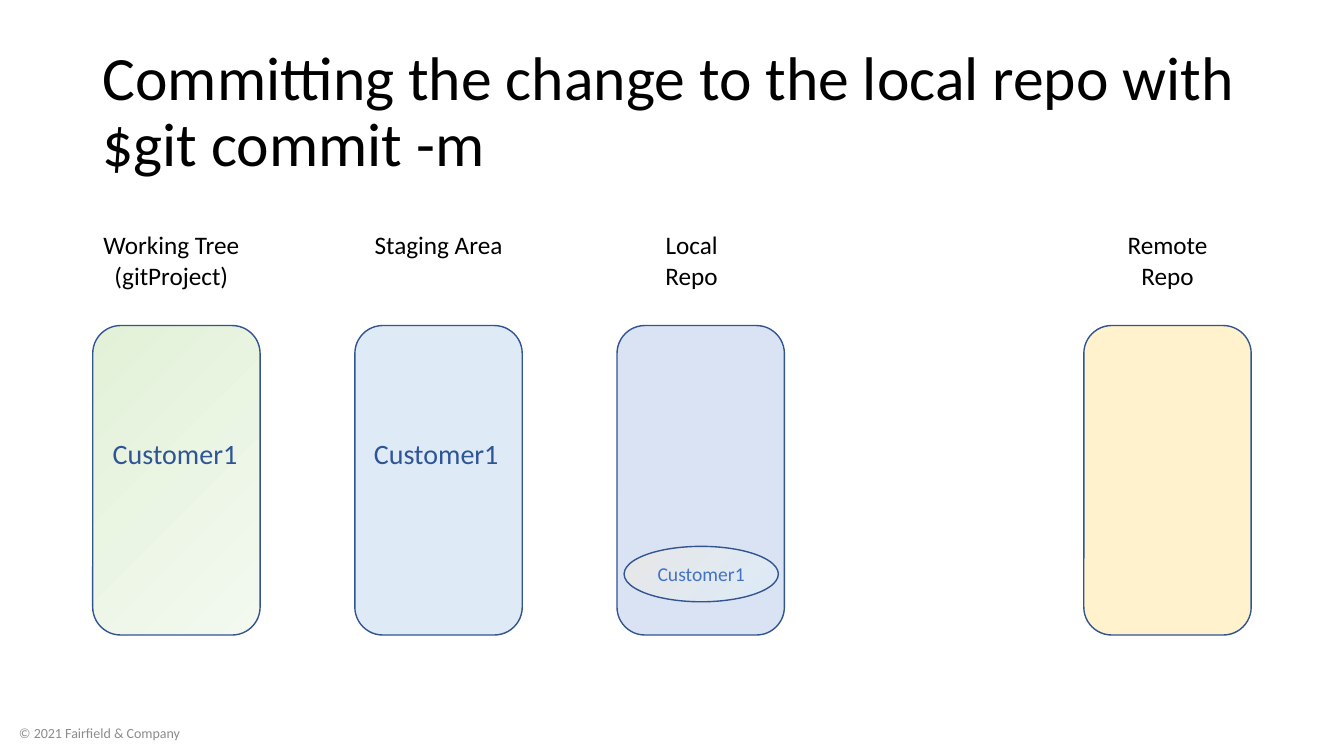
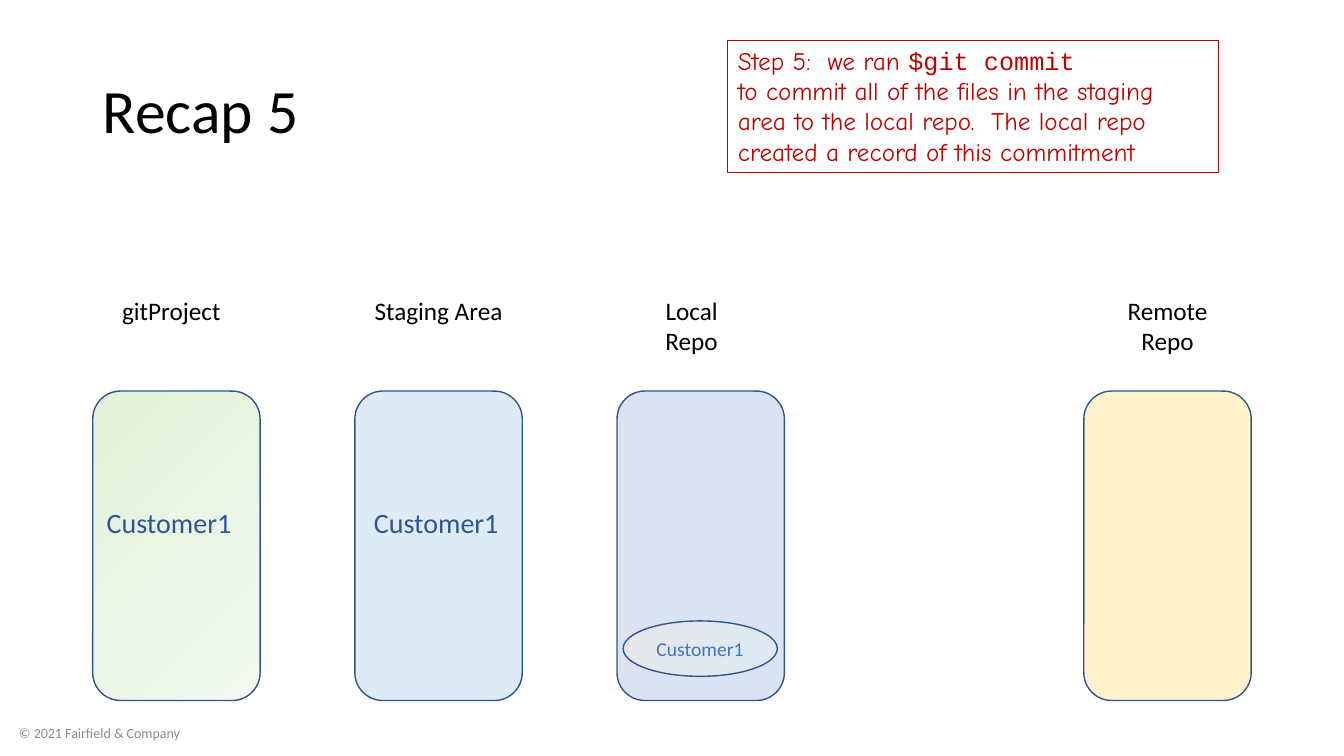
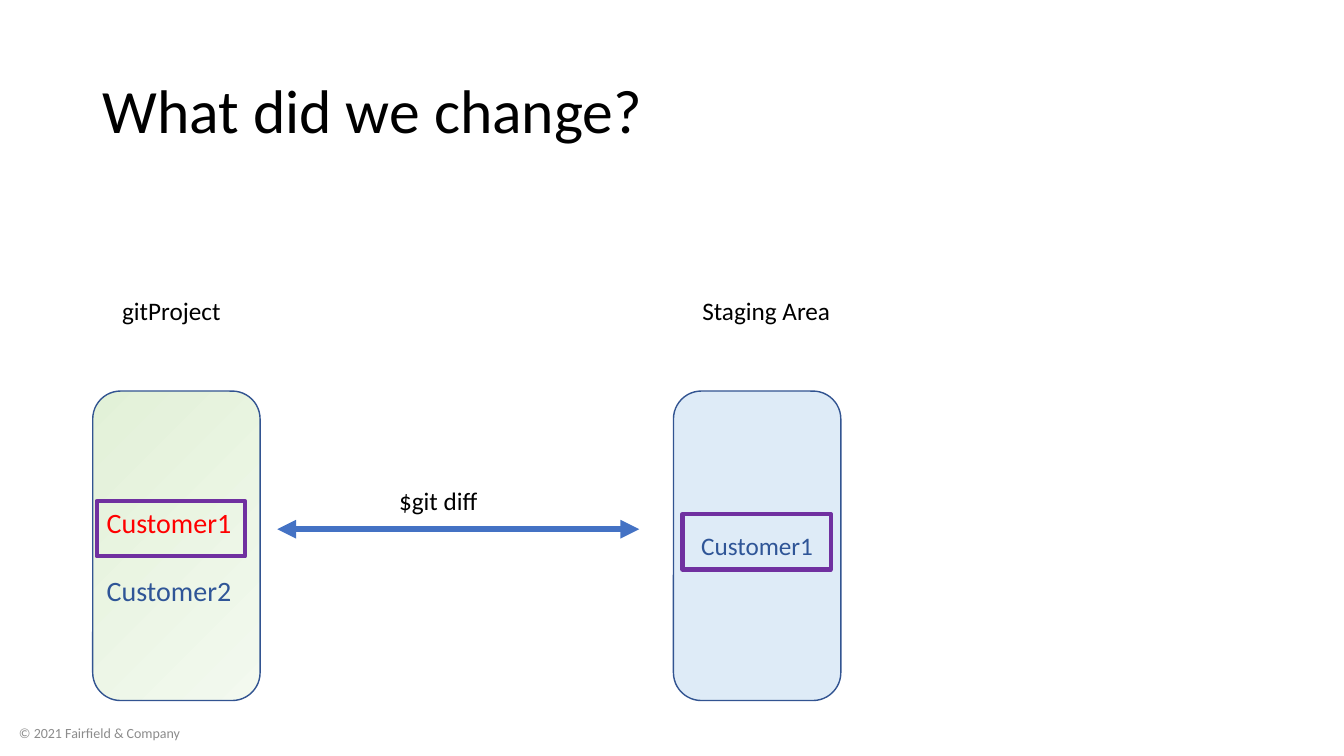
"""Build three slides that follow a file through the areas of a git project."""
from dataclasses import dataclass

from lxml import etree
from pptx import Presentation
from pptx import util as u
from pptx.dml import color as dml
from pptx.enum import shapes, text
from pptx.oxml import ns


@dataclass(frozen=True)
class Theme:
    """Colours, fonts and type sizes shared by every slide."""
    ink: str = "000000"
    outline: str = "325491"
    file: str = "2F5597"
    changed: str = "FF0000"
    accent: str = "4472C4"
    note: str = "C00000"
    marker: str = "7030A0"
    muted: str = "8C8C8C"
    tree: tuple = ("E2F1D8", "F3F9EF")
    staging: tuple = ("DEEBF7",)
    local: tuple = ("DAE3F3",)
    remote: tuple = ("FFF2CC",)
    commit: tuple = ("E7E6E6", "DCEBF8")
    font: str = "Calibri"
    hand: str = "Comic Neue"
    mono: str = "Courier New"
    title_size: int = 44
    file_size: int = 20
    body_size: int = 18
    commit_size: int = 14
    footer_size: int = 10


THEME = Theme()
STAGE_W, STAGE_H = 1.66, 3.07
FIRST_X, STAGE_STEP, REMOTE_X = 0.92, 2.6, 10.75
STAGING_X, LOCAL_X = (FIRST_X + STAGE_STEP * i for i in (1, 2))
HIGH, LOW = 3.23, 3.88
FILE_W, FILE_H = 1.47, 0.55


def rgb(value):
    """Turn a hex string into a colour."""
    return dml.RGBColor.from_string(value)


def box(*inches):
    """Convert left, top, width and height to lengths."""
    return [u.Inches(value) for value in inches]


def write(frame, *lines, size=THEME.body_size, color=THEME.ink, font=THEME.font,
          align=text.PP_ALIGN.LEFT, anchor=text.MSO_ANCHOR.TOP, wrap=True,
          spacing=None, gap=0):
    """Write lines, each a string or a list of (text, font) pairs, as paragraphs."""
    frame.word_wrap = wrap
    frame.vertical_anchor = anchor
    for i, line in enumerate(lines):
        paragraph = frame.add_paragraph() if i else frame.paragraphs[0]
        paragraph.alignment = align
        if spacing:
            paragraph.line_spacing = spacing
        if i and gap:
            paragraph.space_before = u.Pt(gap)
        if isinstance(line, str):
            paragraph.text = line
            for run in paragraph.runs:
                run.font.name = font
        else:
            for words, face in line:
                run = paragraph.add_run()
                run.text = words
                run.font.name = face
        for run in paragraph.runs:
            run.font.size = u.Pt(size)
            run.font.color.rgb = rgb(color)


def add_text(slide, place, *lines, **style):
    """Add a text box and return it."""
    block = slide.shapes.add_textbox(*box(*place))
    write(block.text_frame, *lines, **style)
    return block


def add_outline(slide, kind, place, fill=(), line=THEME.outline, width=1):
    """Add a lined shape whose fill is empty, solid or a diagonal gradient."""
    shape = slide.shapes.add_shape(kind, *box(*place))
    shape.shadow.inherit = False
    shape.line.color.rgb = rgb(line)
    shape.line.width = u.Pt(width)
    if not fill:
        shape.fill.background()
    elif len(fill) == 1:
        shape.fill.solid()
        shape.fill.fore_color.rgb = rgb(fill[0])
    else:
        shape.fill.gradient()
        shape.fill.gradient_angle = 315
        for stop, shade in zip(shape.fill.gradient_stops, fill):
            stop.color.rgb = rgb(shade)
    return shape


def add_stage(slide, left, top, fill, *heading, shift=0):
    """Add a rounded stage with its heading one inch above."""
    add_text(slide, (left + shift, top - 1, STAGE_W, 0.4), *heading,
             align=text.PP_ALIGN.CENTER)
    return add_outline(slide, shapes.MSO_SHAPE.ROUNDED_RECTANGLE,
                       (left, top, STAGE_W, STAGE_H), fill)


def add_file(slide, left, top, name="Customer1", color=THEME.file):
    """Add a file name inside a stage."""
    add_text(slide, (left, top, FILE_W, 0.44), name,
             size=THEME.file_size, color=color)


def add_commit(slide, left, top):
    """Add the oval record of a committed file."""
    commit = add_outline(slide, shapes.MSO_SHAPE.OVAL, (left, top, 1.53, 0.55),
                         THEME.commit)
    write(commit.text_frame, "Customer1", size=THEME.commit_size,
          color=THEME.accent, align=text.PP_ALIGN.CENTER,
          anchor=text.MSO_ANCHOR.MIDDLE, wrap=False)


def add_marker(slide, left, top):
    """Frame a file that is being compared."""
    add_outline(slide, shapes.MSO_SHAPE.RECTANGLE, (left, top, FILE_W, FILE_H),
                line=THEME.marker, width=3)


def add_double_arrow(slide, start, end, y):
    """Add a level arrow with a head at both ends."""
    arrow = slide.shapes.add_connector(shapes.MSO_CONNECTOR.STRAIGHT,
                                       *box(start, y, end, y))
    arrow.line.color.rgb = rgb(THEME.accent)
    arrow.line.width = u.Pt(4.5)
    stroke = arrow.line._get_or_add_ln()
    for tip in ("a:headEnd", "a:tailEnd"):
        etree.SubElement(stroke, ns.qn(tip), type="triangle")
    etree.SubElement(stroke.getparent(), ns.qn("a:effectLst"))


def add_slide(deck, title):
    """Add a blank slide with the shared title and footer."""
    slide = deck.slides.add_slide(deck.slide_layouts[6])
    add_text(slide, (0.92, 0.4, 11.5, 1.45), title, size=THEME.title_size,
             anchor=text.MSO_ANCHOR.MIDDLE, spacing=0.9)
    add_text(slide, (0.09, 7.1, 2, 0.35), "© 2021 Fairfield & Company",
             size=THEME.footer_size, color=THEME.muted,
             anchor=text.MSO_ANCHOR.MIDDLE)
    return slide


def add_four_stages(slide, top, *tree_heading):
    """Add the working tree, staging area and both repos."""
    add_stage(slide, FIRST_X, top, THEME.tree, *tree_heading, shift=-0.05)
    add_stage(slide, STAGING_X, top, THEME.staging, "Staging Area")
    add_stage(slide, LOCAL_X, top, THEME.local, "Local", "Repo", shift=-0.09)
    add_stage(slide, REMOTE_X, top, THEME.remote, "Remote", "Repo")


def build_commit(deck):
    """Show the file committed to the local repo."""
    slide = add_slide(
        deck, "Committing the change to the local repo with\v$git commit -m")
    add_four_stages(slide, HIGH, "Working Tree", "(gitProject)")
    for left in (1.02, 3.61):
        add_file(slide, left, 4.28)
    add_commit(slide, 6.19, 5.42)


def build_recap(deck):
    """Recap the commit step."""
    slide = add_slide(deck, "Recap 5")
    add_four_stages(slide, LOW, "gitProject")
    for left in (0.96, 3.61):
        add_file(slide, left, 4.97)
    add_commit(slide, 6.18, 6.16)
    note = add_text(
        slide, (7.22, 0.4, 4.87, 1.31),
        [("Step 5:  we ran ", THEME.hand), ("$git commit", THEME.mono)],
        "to commit all of the files in the staging area to the local repo.  "
        "The local repo created a record of this commitment",
        color=THEME.note, font=THEME.hand)
    note.line.color.rgb = rgb(THEME.note)
    note.line.width = u.Pt(0.75)


def build_diff(deck):
    """Compare the working file with the staged one."""
    slide = add_slide(deck, "What did we change?")
    add_stage(slide, FIRST_X, LOW, THEME.tree, "gitProject", shift=-0.05)
    staging = add_stage(slide, 6.68, LOW, THEME.staging, "Staging Area", shift=0.09)
    write(staging.text_frame, "Customer1", color=THEME.file,
          align=text.PP_ALIGN.CENTER, anchor=text.MSO_ANCHOR.MIDDLE)
    add_file(slide, 0.96, 4.97, color=THEME.changed)
    add_file(slide, 0.96, 5.64, "Customer2")
    add_marker(slide, 0.96, 4.97)
    add_marker(slide, 6.77, 5.1)
    add_double_arrow(slide, 2.75, 6.34, 5.25)
    add_text(slide, (3.86, 4.77, 1.2, 0.4), "$git diff")


def main():
    """Build and save the deck."""
    deck = Presentation()
    deck.slide_width, deck.slide_height = u.Inches(13.33), u.Inches(7.5)
    for build in (build_commit, build_recap, build_diff):
        build(deck)
    deck.save("out.pptx")


if __name__ == "__main__":
    main()
